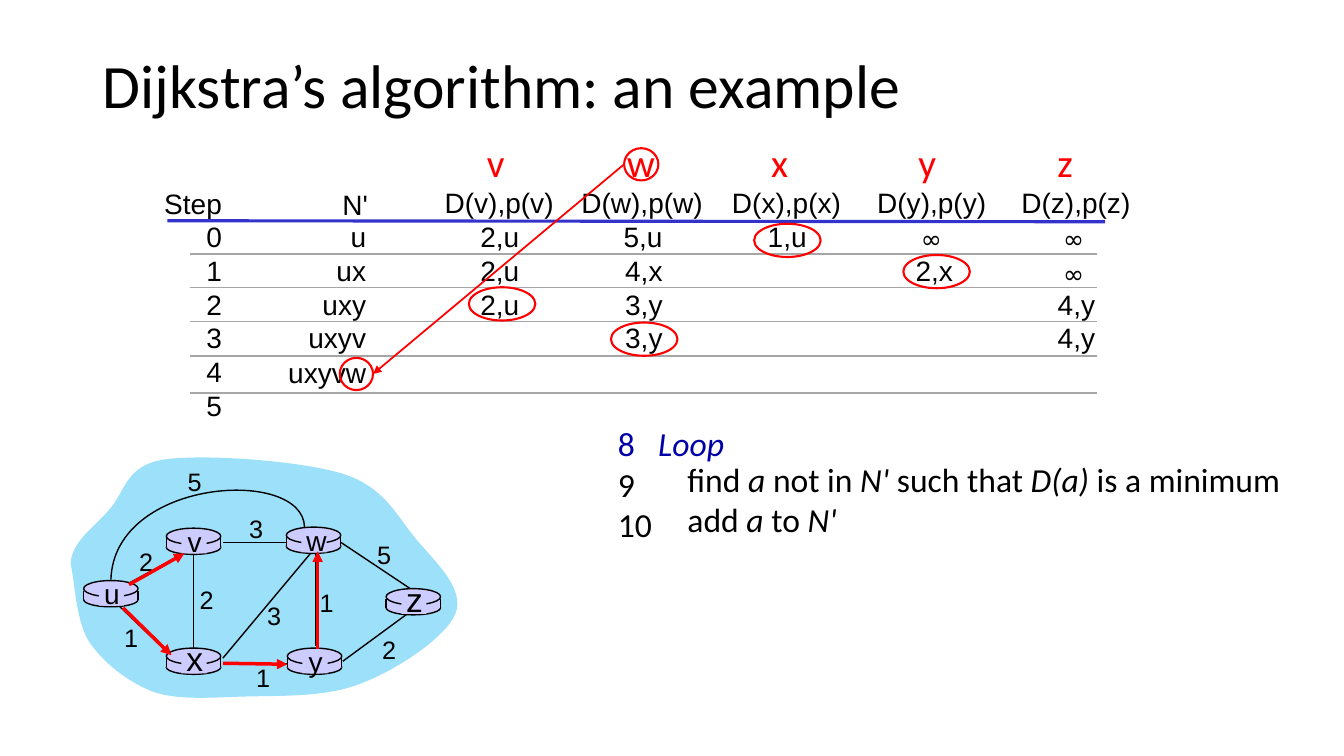
from lxml.etree import SubElement
from pptx import Presentation
from pptx.dml.color import RGBColor
from pptx.enum.shapes import MSO_CONNECTOR, MSO_SHAPE
from pptx.enum.text import MSO_ANCHOR, MSO_AUTO_SIZE, PP_ALIGN
from pptx.oxml.ns import qn
from pptx.util import Pt

PX = 9144  # EMU per px, 100 px to the inch
COLORS = {
    "black": "000000", "red": "FF0000", "rule": "3333CC", "grid": "A6A6A6",
    "loop": "0000A8", "cloud": "9CE0FA", "router": "CCCCFF",
}
LEFT, CENTER, RIGHT = PP_ALIGN.LEFT, PP_ALIGN.CENTER, PP_ALIGN.RIGHT

prs = Presentation()
prs.slide_width, prs.slide_height = 1333 * PX, 750 * PX
slide = prs.slides.add_slide(prs.slide_layouts[6])
shapes = slide.shapes


def write(x, y, w, h, paragraphs, size=20, font="Arial", color="black", align=LEFT):
    """Add a text box; parts of a paragraph between asterisks are italic."""
    box = shapes.add_textbox(x * PX, y * PX, w * PX, h * PX)
    frame = box.text_frame
    frame.word_wrap = False
    frame.auto_size = MSO_AUTO_SIZE.SHAPE_TO_FIT_TEXT
    for i, content in enumerate(paragraphs):
        paragraph = frame.add_paragraph() if i else frame.paragraphs[0]
        paragraph.alignment = align
        for j, part in enumerate(content.split("*")):
            if part:
                run = paragraph.add_run()
                run.text = part
                run.font.size, run.font.name = Pt(size), font
                run.font.italic = j % 2 == 1
                run.font.color.rgb = RGBColor.from_string(COLORS[color])
    return frame


def connect(x1, y1, x2, y2, color="black", width=1, arrow=False):
    line = shapes.add_connector(MSO_CONNECTOR.STRAIGHT, x1 * PX, y1 * PX, x2 * PX, y2 * PX)
    line.line.color.rgb = RGBColor.from_string(COLORS[color])
    line.line.width = Pt(width)
    properties = line.element.spPr
    if arrow:
        SubElement(properties.find(qn("a:ln")), qn("a:tailEnd"), type="triangle")
    SubElement(properties, qn("a:effectLst"))


# Title
title = write(92, 39, 1223, 98, ["Dijkstra’s algorithm: an example"], 44, "Calibri")
title.word_wrap = True
title.auto_size = MSO_AUTO_SIZE.NONE
title.vertical_anchor = MSO_ANCHOR.MIDDLE
title.paragraphs[0].line_spacing = 0.9

# Step column and column heads
steps = write(153, 180, 77, 243, ["Step", *map(str, range(6))], align=RIGHT)
for step in steps.paragraphs:
    step.line_spacing = Pt(24)
write(329, 181, 46, 44, ["N'"], align=RIGHT)
for node, node_left, node_width, head_left, head_width in [
    ("v", 473, 38, 430, 129), ("w", 612, 48, 565, 142), ("x", 755, 37, 715, 129),
    ("y", 901, 38, 859, 129), ("z", 1039, 36, 1002, 129),
]:
    write(node_left, 132, node_width, 57, [node], 28, "Calibri", "red")
    write(head_left, 179, head_width, 44, [f"D({node}),p({node})"], align=RIGHT)

# Rules between the steps
connect(166, 219, 1096, 220, "rule", 2.25)
for y in (252, 285, 319, 353, 390):
    connect(188, y, 1088, y, "grid")

# Distances by step: right edge of each column and its entries
row_tops = [213, 247, 280, 313, 348]
for right, entries in [
    (373, ["u", "ux", "uxy", "uxyv", "uxyvw"]),
    (525, ["2,u", "2,u", "2,u"]),
    (667, ["5,u", "4,x", "3,y", "3,y"]),
    (810, ["1,u"]),
    (955, ["∞", "2,x"]),
    (1096, ["∞", "∞", "4,y", "4,y"]),
]:
    for top, entry in zip(row_tops, entries):
        if entry == "∞":
            write(right - 52, top + 4, 41, 40, [entry], 18, "Comic Neue", align=RIGHT)
        else:
            width = 59 if "," in entry else 23 + 15 * len(entry)
            write(right - width, top, width, 44, [entry], align=RIGHT)

# Loop of the algorithm
numbers = write(603, 415, 134, 132, ["8\t*Loop*", "9", "10"], 24, "Calibri")
loop_line = numbers.paragraphs[0]
for run in loop_line.runs:
    run.font.color.rgb = RGBColor.from_string(COLORS["loop"])
tabs = SubElement(loop_line.runs[0].font.fill and loop_line._p.get_or_add_pPr(), qn("a:tabLst"))
SubElement(tabs, qn("a:tab"), pos=str(40 * PX), algn="l")
write(672, 450, 633, 91, [
    "find *a* not in *N'* such that *D(a)* is a minimum",
    "add *a* to *N'*",
], 24, "Calibri")

# Cloud behind the network and curved link u-w, as Bezier control points
cloud = [
    (70, 559), (71, 538), (93, 523), (108, 506), (124, 489), (124, 462), (162, 456),
    (201, 450), (298, 457), (340, 470), (381, 483), (393, 511), (412, 534),
    (431, 557), (461, 583), (452, 608), (443, 632), (393, 665), (358, 678),
    (324, 692), (277, 690), (243, 691), (208, 692), (177, 695), (151, 686),
    (126, 676), (102, 657), (88, 636), (75, 615), (74, 575), (70, 559),
]
arc = [(302, 523), (301, 463), (113, 474), (110, 575)]
for controls, closed in ((cloud, True), (arc, False)):
    outline = shapes.build_freeform(*controls[0], scale=PX)
    outline.add_line_segments(controls[1:], close=closed)
    curve = outline.convert_to_shape()
    corners = list(curve.element.iter(qn("a:lnTo")))
    for i in range(0, len(corners), 3):
        bezier = corners[i]
        bezier.tag = qn("a:cubicBezTo")
        for corner in corners[i + 1:i + 3]:
            bezier.append(corner[0])
            corner.getparent().remove(corner)
    curve.shadow.inherit = False
    if closed:
        curve.fill.solid()
        curve.fill.fore_color.rgb = RGBColor.from_string(COLORS["cloud"])
        curve.line.fill.background()
    else:
        curve.fill.background()
        curve.line.color.rgb = RGBColor.from_string(COLORS["black"])
        curve.line.width = Pt(1)

# Straight links
for link in [
    (129, 578, 188, 546), (313, 550, 313, 641), (192, 551, 192, 645),
    (221, 653, 308, 549), (340, 656, 404, 609), (286, 658, 222, 658),
    (167, 648, 119, 602), (285, 538, 221, 538), (407, 584, 338, 538),
]:
    connect(*link)

# Routers: base, wall, lid and a patch under the letter
for node, x, y, size in [
    ("u", 83, 576, 20), ("x", 165, 643, 24), ("v", 165, 524, 20),
    ("w", 284, 523, 20), ("y", 285, 643, 20), ("z", 383, 584, 24),
]:
    for kind, dx, dy, w, h, outlined in [
        (MSO_SHAPE.OVAL, 0, 12, 54, 14, True),
        (MSO_SHAPE.RECTANGLE, 0, 10, 54, 9, False),
        (MSO_SHAPE.OVAL, 0, 0, 54, 16, True),
        (MSO_SHAPE.RECTANGLE, 15, 2, 25, 23, False),
    ]:
        part = shapes.add_shape(kind, (x + dx) * PX, (y + dy) * PX, w * PX, h * PX)
        part.shadow.inherit = False
        part.fill.solid()
        part.fill.fore_color.rgb = RGBColor.from_string(COLORS["router"])
        if outlined:
            part.line.color.rgb = RGBColor.from_string(COLORS["black"])
            part.line.width = Pt(1)
        else:
            part.line.fill.background()
    for side in (x, x + 54):
        connect(side, y + 10, side, y + 19)
    letter_top = y - 9 if size == 20 else y - 15
    write(x + 10, letter_top, 36, 2 * size + 3, [node], size, align=CENTER)

# Link costs
for cost, x, y in [
    ("2", 128, 537), ("2", 188, 575), ("1", 113, 612), ("3", 255, 591), ("1", 244, 652),
    ("1", 307, 578), ("2", 369, 624), ("5", 364, 530), ("3", 237, 504), ("5", 176, 458),
]:
    write(x, y, 34, 40, [cost], 18, align=CENTER)

# Shortest-path arrows, and the pointer from head w to its place in N'
for arrow in [
    (122, 603, 170, 650), (221, 658, 285, 659), (128, 580, 183, 549), (315, 644, 315, 547),
]:
    connect(*arrow, "red", 2.5, True)
connect(619, 163, 370, 371, "red", 1.25, True)

# Rings around each chosen minimum and around w
for x, y, w, h in [
    (748, 222, 66, 33), (896, 253, 66, 33), (465, 285, 66, 33), (606, 320, 66, 33),
    (619, 147, 34, 32), (337, 355, 33, 32),
]:
    ring = shapes.add_shape(MSO_SHAPE.OVAL, x * PX, y * PX, w * PX, h * PX)
    ring.shadow.inherit = False
    ring.fill.background()
    ring.line.color.rgb = RGBColor.from_string(COLORS["red"])
    ring.line.width = Pt(1.5)

prs.save("out.pptx")
